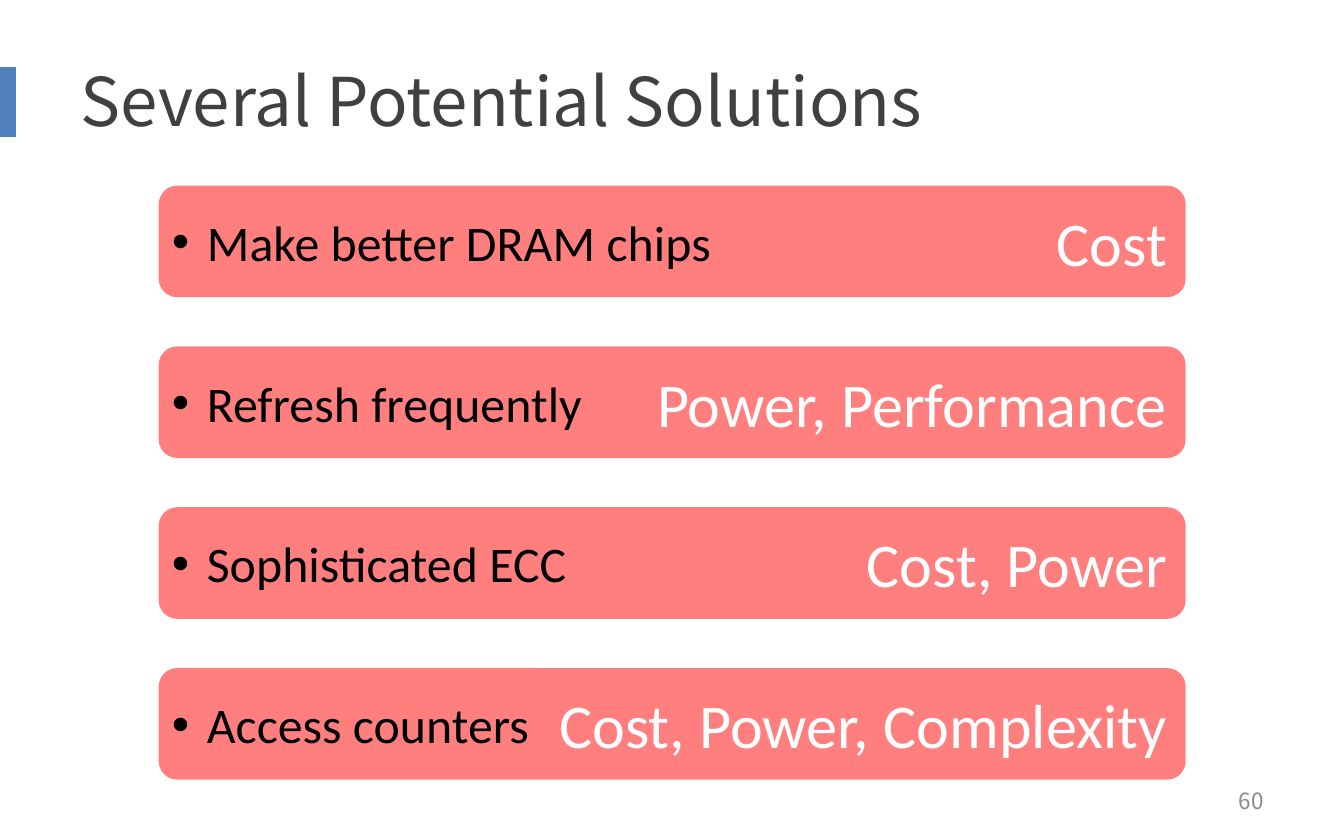
from dataclasses import dataclass

from lxml import etree
from pptx import Presentation
from pptx.dml.color import RGBColor
from pptx.enum.shapes import MSO_SHAPE
from pptx.enum.text import MSO_ANCHOR, MSO_AUTO_SIZE, PP_ALIGN
from pptx.oxml.ns import qn
from pptx.util import Cm, Pt

RECTANGLE = MSO_SHAPE.RECTANGLE
ROUNDED = MSO_SHAPE.ROUNDED_RECTANGLE
MIDDLE = MSO_ANCHOR.MIDDLE
NO_AUTOFIT = MSO_AUTO_SIZE.NONE
LEFT, RIGHT = PP_ALIGN.LEFT, PP_ALIGN.RIGHT
TITLE_ONLY = 5


@dataclass(frozen=True)
class Theme:
    heading_font: str = "Noto Sans CJK SC"
    body_font: str = "Calibri"
    accent: str = "4F81BD"
    heading: str = "404040"
    muted: str = "8C8C8C"
    band: str = "FF0000"
    drawback: str = "FFFFFF"
    solution: str = "000000"
    heading_size: float = 36
    number_size: float = 12
    drawback_size: float = 33.3
    solution_size: float = 26.7


THEME = Theme()

BAND_LEFT, BAND_TOP = 3.0, 3.51
BAND_WIDTH, BAND_HEIGHT = 19.41, 2.11
BAND_PITCH = 3.04
BULLET_INDENT = 0.66

SOLUTIONS = [
    ("Make better DRAM chips", "Cost", 11.81),
    ("Refresh frequently", "Power, Performance", 9.7),
    ("Sophisticated ECC", "Cost, Power", 9.7),
    ("Access counters", "Cost, Power, Complexity", 9.7),
]


def write_text(frame, text, font, size, color, align=LEFT):
    frame.word_wrap = True
    frame.auto_size = NO_AUTOFIT
    frame.vertical_anchor = MIDDLE
    paragraph = frame.paragraphs[0]
    paragraph.alignment = align
    run = paragraph.add_run()
    run.text = text
    run.font.name = font
    run.font.size = Pt(size)
    run.font.color.rgb = RGBColor.from_string(color)


def add_bullet(paragraph):
    properties = paragraph._p.get_or_add_pPr()
    properties.set("marL", str(Cm(BULLET_INDENT)))
    properties.set("indent", str(-Cm(BULLET_INDENT)))
    etree.SubElement(properties, qn("a:buFont"), typeface="Arial")
    etree.SubElement(properties, qn("a:buChar"), char="•")


def add_block(slide, preset, left, top, width, height, color):
    block = slide.shapes.add_shape(preset, Cm(left), Cm(top), Cm(width), Cm(height))
    block.shadow.inherit = False
    block.fill.solid()
    block.fill.fore_color.rgb = RGBColor.from_string(color)
    block.line.fill.background()
    return block


def set_opacity(block, percent):
    color = block.fill._xPr.find(qn("a:solidFill"))[0]
    etree.SubElement(color, qn("a:alpha"), val=str(percent * 1000))


def add_title(slide, text):
    title = slide.shapes.title
    title.left, title.top = Cm(1.27), Cm(0.64)
    title.width, title.height = Cm(22.86), Cm(2.49)
    write_text(title.text_frame, text, THEME.heading_font, THEME.heading_size, THEME.heading)


def add_page_number(slide, number):
    box = slide.shapes.add_textbox(Cm(18.21), Cm(14.71), Cm(5.92), Cm(0.84))
    write_text(box.text_frame, number, THEME.heading_font, THEME.number_size, THEME.muted, RIGHT)


def add_solution(slide, top, solution, drawback, solution_width):
    band = add_block(slide, ROUNDED, BAND_LEFT, top, BAND_WIDTH, BAND_HEIGHT, THEME.band)
    set_opacity(band, 50)
    write_text(band.text_frame, drawback, THEME.body_font, THEME.drawback_size, THEME.drawback, RIGHT)

    label = slide.shapes.add_textbox(Cm(BAND_LEFT), Cm(top), Cm(solution_width), Cm(BAND_HEIGHT))
    add_bullet(label.text_frame.paragraphs[0])
    write_text(label.text_frame, solution, THEME.body_font, THEME.solution_size, THEME.solution)


def main():
    presentation = Presentation()
    presentation.slide_width, presentation.slide_height = Cm(25.4), Cm(15.88)
    slide = presentation.slides.add_slide(presentation.slide_layouts[TITLE_ONLY])

    add_block(slide, RECTANGLE, -0.15, 1.27, 0.45, 1.32, THEME.accent)
    add_title(slide, "Several Potential Solutions")
    add_page_number(slide, "60")
    for row, (solution, drawback, solution_width) in enumerate(SOLUTIONS):
        add_solution(slide, BAND_TOP + row * BAND_PITCH, solution, drawback, solution_width)

    presentation.save("out.pptx")


if __name__ == "__main__":
    main()
